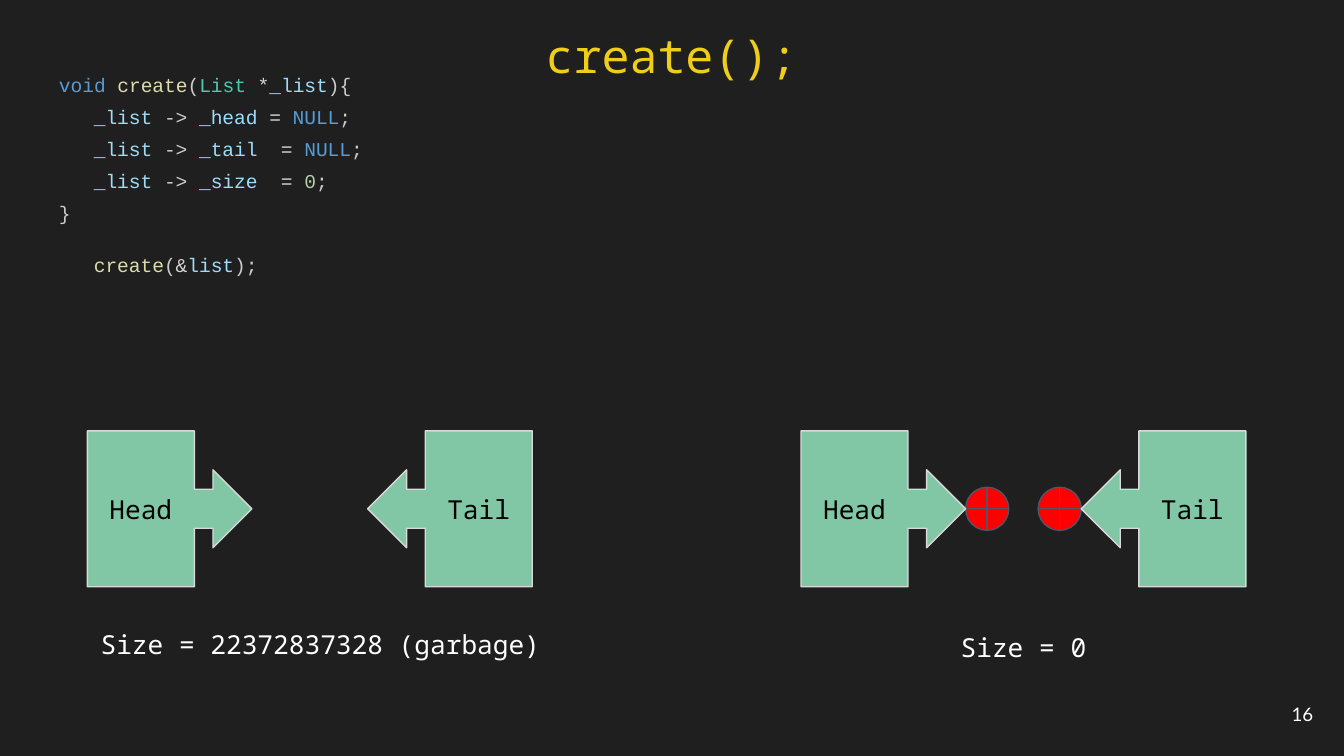
from pptx import Presentation
from pptx.dml.color import RGBColor
from pptx.enum.shapes import MSO_SHAPE as Kind
from pptx.enum.text import MSO_ANCHOR as Anchor, PP_ALIGN as Align
from pptx.util import Inches, Pt

WIDE, HIGH = 10, 5.625
MONO, CODE = "Noto Sans Mono", "Courier New"
BACK, WHITE, BLACK = "1F1F1F", "FFFFFF", "000000"
GREEN, PALE, RED, SLATE = "82C7A5", "D9D9D9", "FF0000", "4E5567"
PLAIN, SIGN, NAME, CALL = "CCCCCC", "D4D4D4", "9CDCFE", "DCDCAA"
WORD, TYPE, DIGIT = "569CD6", "4EC9B0", "B5CEA8"
TAB = 0.26  # three code characters


def rgb(code):
    return RGBColor.from_string(code)


def area(box):
    return [Inches(n) for n in box]


def write(frame, lines, font=MONO, size=14, color=WHITE, align=Align.LEFT,
          anchor=Anchor.TOP, space=None, wrap=True, pad=0.1):
    """Fill a frame; a line is a string or (indent, [(text, colour), ...])."""
    frame.word_wrap, frame.vertical_anchor = wrap, anchor
    frame.margin_left = frame.margin_right = Inches(0.1)
    frame.margin_top = frame.margin_bottom = Inches(pad)
    for i, line in enumerate(lines):
        para = frame.add_paragraph() if i else frame.paragraphs[0]
        para.alignment = align
        if space:
            para.line_spacing = space
        indent, runs = (0, [(line, color)]) if isinstance(line, str) else line
        if indent:
            props = para._p.get_or_add_pPr()
            props.set("marL", str(Inches(indent)))
            props.set("indent", "0")
        for text, shade in runs:
            run = para.add_run()
            run.text = text
            run.font.name, run.font.size = font, Pt(size)
            run.font.color.rgb = rgb(shade)


def note(slide, box, lines, **form):
    write(slide.shapes.add_textbox(*area(box)).text_frame, lines, **form)


def draw(slide, kind, box, fill, edge):
    shape = slide.shapes.add_shape(kind, *area(box))
    shape.shadow.inherit = False
    shape.fill.solid()
    shape.fill.fore_color.rgb = rgb(fill)
    shape.line.color.rgb = rgb(edge)
    shape.line.width = Pt(0.75)
    return shape


def head(slide, box):
    title = slide.shapes.title
    title.left, title.top, title.width, title.height = area(box)
    write(title.text_frame, ["create();"], size=25, color="EECE1A")


def code(slide, box):
    """Function source on top, its call in the row below."""
    left, top, wide, high = box
    body = high * 0.78

    def field(name, gap, value, shade):
        return TAB, [("_list ", NAME), ("-> ", PLAIN), (name, NAME),
                     (gap, PLAIN), ("=", SIGN), (" ", PLAIN),
                     (value, shade), (";", PLAIN)]

    source = [
        (0, [("void", WORD), (" ", PLAIN), ("create", CALL), ("(", PLAIN),
             ("List", TYPE), (" ", PLAIN), ("*", SIGN), ("_list", NAME),
             ("){", PLAIN)]),
        field("_head", " ", "NULL", WORD),
        field("_tail", "  ", "NULL", WORD),
        field("_size", "  ", "0", DIGIT),
        (0, [("}", PLAIN)]),
    ]
    call = [(TAB, [("create", CALL), ("(", PLAIN), ("&", SIGN),
                   ("list", NAME), (");", PLAIN)])]
    form = dict(font=CODE, size=10.5, space=1.36)
    note(slide, (left, top, wide, body), source, **form)
    note(slide, (left, top + body, wide, high - body), call, **form)


def state(slide, box, empty):
    """Head and tail callouts facing inward, with null marks if empty."""
    left, top, wide, high = box
    arm, dot = wide * 0.37, wide * 0.097
    right = left + wide - arm
    if empty:
        for x in (left + arm, right - dot):
            draw(slide, Kind.FLOWCHART_OR,
                 (x, top + (high - dot) / 2, dot, dot), RED, SLATE)
    for x, text in ((left, "Head"), (right, "Tail")):
        node = draw(slide, Kind.RIGHT_ARROW_CALLOUT, (x, top, arm, high),
                    GREEN, PALE)
        for i, share in enumerate((0.25, 0.25, 0.25, 0.65)):
            node.adjustments[i] = share
        if x == right:
            node.element.spPr.xfrm.set("flipH", "1")
        write(node.text_frame, [text], color=BLACK, align=Align.CENTER,
              anchor=Anchor.MIDDLE)


def main():
    deck = Presentation()
    deck.slide_width, deck.slide_height = Inches(WIDE), Inches(HIGH)
    slide = deck.slides.add_slide(deck.slide_layouts[5])
    slide.background.fill.solid()
    slide.background.fill.fore_color.rgb = rgb(BACK)

    head(slide, (WIDE * 0.396, 0.1, WIDE * 0.21, 0.62))
    code(slide, (WIDE * 0.034, 0.38, WIDE * 0.328, 1.72))
    for left, empty in ((0.065, False), (0.596, True)):
        state(slide, (WIDE * left, HIGH * 0.57, WIDE * 0.331, 1.16), empty)
    for box, text in (((0.65, 4.63, 3.49, 0.34), "Size = 22372837328 (garbage)"),
                      ((7.05, 4.65, 1.14, 0.34), "Size = 0")):
        note(slide, box, [text], wrap=False, pad=0.05)
    note(slide, (WIDE * 0.927, 5.1, WIDE * 0.06, 0.43), ["16"], font="Lato",
         size=10, align=Align.RIGHT, anchor=Anchor.MIDDLE)
    deck.save("out.pptx")


if __name__ == "__main__":
    main()
